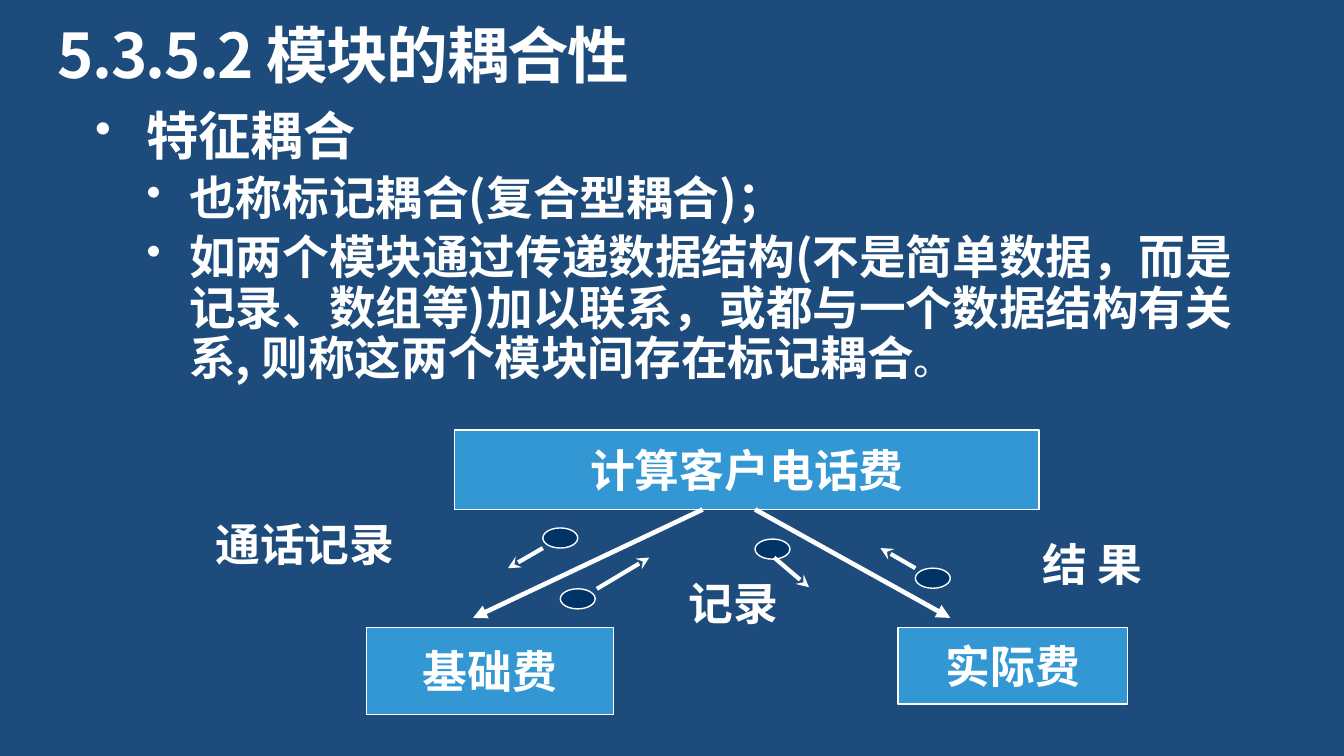
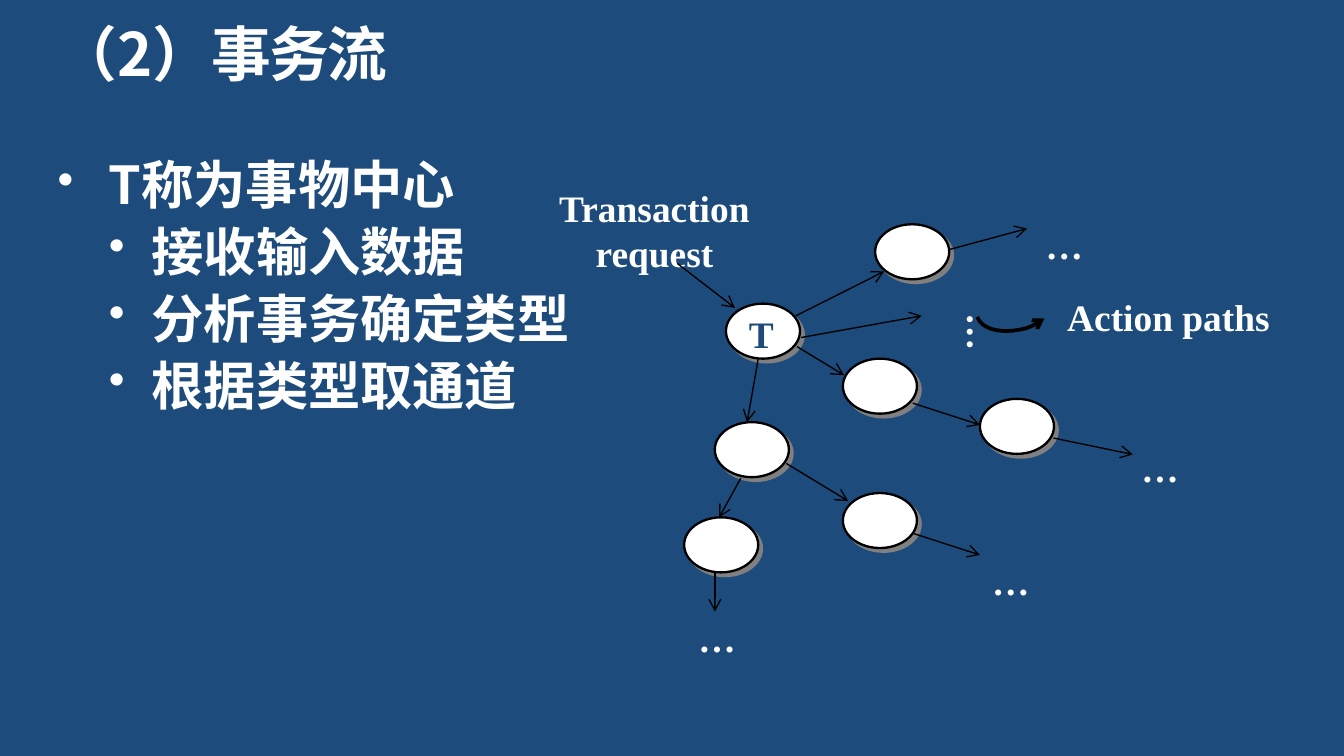
import lxml.etree
import pptx
import pptx.dml.color
import pptx.enum.dml
import pptx.enum.shapes
import pptx.enum.text
import pptx.oxml.ns
import pptx.util

Cm = pptx.util.Cm
Pt = pptx.util.Pt
ALIGN = pptx.enum.text.PP_ALIGN
SHAPE = pptx.enum.shapes.MSO_SHAPE

BACKGROUND, WHITE, BLACK = "1D4C7C", "FFFFFF", "000000"
MODULE_BLUE, DATA_NAVY, SHADOW_GRAY = "3397D3", "003366", "808080"
HEADING_FONT, LABEL_FONT, DIAGRAM_FONT = "Noto Sans CJK SC", "Roboto", "Times New Roman"
DEFAULT_INSETS = (0.25, 0.13, 0.25, 0.13)
NO_INSETS = (0, 0, 0, 0)
TIGHT_INSETS = (0.05, 0.03, 0.05, 0.03)


def color(value):
    return pptx.dml.color.RGBColor.from_string(value)


def add_xml(parent, tag, **attributes):
    child = lxml.etree.SubElement(parent, pptx.oxml.ns.qn(tag))
    for name, value in attributes.items():
        child.set(name, str(value))
    return child


class SlideWriter:
    """Holds the deck style and draws elements on the current slide."""

    def __init__(self):
        self.deck = pptx.Presentation()
        self.deck.slide_width = Cm(25.4)
        self.deck.slide_height = Cm(14.29)
        self.page = None

    def start_page(self, title, size, height):
        self.page = self.deck.slides.add_slide(self.deck.slide_layouts[6])
        fill = self.page.background.fill
        fill.solid()
        fill.fore_color.rgb = color(BACKGROUND)
        box = self.text((1.09, 0.48, 23.24, height), title, size, HEADING_FONT,
                        align=ALIGN.LEFT, insets=NO_INSETS, spacing=0.9)
        box.text_frame.auto_size = pptx.enum.text.MSO_AUTO_SIZE.SHAPE_TO_FIT_TEXT
        for span in box.text_frame.paragraphs[0].runs:
            span.font._element.set("spc", "-80")

    def style_span(self, span, size, font, ink=WHITE, bold=True):
        span.font.size = Pt(size)
        span.font.name = font
        span.font.bold = bold
        span.font.color.rgb = color(ink)
        east_asian = HEADING_FONT if font == LABEL_FONT else font
        add_xml(span.font._element, "a:ea", typeface=east_asian)

    def fill_frame(self, frame, words, size, font, ink=WHITE, align=ALIGN.CENTER, spacing=None):
        frame.text = words
        for para in frame.paragraphs:
            para.alignment = align
            if spacing:
                para.line_spacing = spacing
            for span in para.runs:
                self.style_span(span, size, font, ink)

    def set_insets(self, frame, insets):
        (frame.margin_left, frame.margin_top,
         frame.margin_right, frame.margin_bottom) = map(Cm, insets)

    def text(self, area, words, size, font, ink=WHITE, align=ALIGN.CENTER,
             insets=DEFAULT_INSETS, spacing=None, wrap=True):
        box = self.page.shapes.add_textbox(*map(Cm, area))
        frame = box.text_frame
        frame.word_wrap = wrap
        self.set_insets(frame, insets)
        self.fill_frame(frame, words, size, font, ink, align, spacing)
        return box

    def label(self, area, words):
        box = self.text(area, words, 24, LABEL_FONT, wrap=False)
        box.text_frame.vertical_anchor = pptx.enum.text.MSO_ANCHOR.MIDDLE

    def bullets(self, area, items):
        box = self.page.shapes.add_textbox(*map(Cm, area))
        frame = box.text_frame
        frame.word_wrap = True
        frame.auto_size = pptx.enum.text.MSO_AUTO_SIZE.SHAPE_TO_FIT_TEXT
        self.set_insets(frame, NO_INSETS)
        frame.text = "\n".join(words for words, *_ in items)
        for para, (_, level, size, spacing) in zip(frame.paragraphs, items):
            left, hanging = ((0.97, 0.97), (1.78, 0.81))[level]
            para.level = level
            properties = para._p.get_or_add_pPr()
            properties.set("marL", str(Cm(left)))
            properties.set("indent", str(-Cm(hanging)))
            add_xml(properties, "a:buSzPct", val=90000)
            add_xml(properties, "a:buChar", char="•")
            para.line_spacing = spacing
            if para is not frame.paragraphs[0] and level:
                para.space_before = Pt(size * 0.2)
            for span in para.runs:
                self.style_span(span, size, HEADING_FONT)
        return box

    def shape(self, kind, area, fill, line, width, shadow=False):
        shape = self.page.shapes.add_shape(kind, *map(Cm, area))
        shape.fill.solid()
        shape.fill.fore_color.rgb = color(fill)
        shape.line.color.rgb = color(line)
        shape.line.width = Pt(width)
        shape.shadow.inherit = False
        if shadow:
            effects = shape._element.spPr.find(pptx.oxml.ns.qn("a:effectLst"))
            outer = add_xml(effects, "a:outerShdw", dist=Pt(2.8), dir=45 * 60000,
                            algn="ctr", rotWithShape=0)
            add_xml(outer, "a:srgbClr", val=SHADOW_GRAY)
        return shape

    def module(self, area, words):
        shape = self.shape(SHAPE.RECTANGLE, area, MODULE_BLUE, WHITE, 0.75)
        frame = shape.text_frame
        frame.word_wrap = False
        frame.vertical_anchor = pptx.enum.text.MSO_ANCHOR.MIDDLE
        self.fill_frame(frame, words, 24, LABEL_FONT)

    def arrow(self, start, end, line, width, head):
        connector = self.page.shapes.add_connector(
            pptx.enum.shapes.MSO_CONNECTOR.STRAIGHT, *map(Cm, start + end))
        self.style_arrow(connector, line, width, head)
        add_xml(connector._element.spPr, "a:effectLst")

    def style_arrow(self, stroke, line, width, head):
        stroke.line.color.rgb = color(line)
        stroke.line.width = Pt(width)
        add_xml(stroke.line._get_or_add_ln(), "a:tailEnd", type=head)

    def curved_arrow(self, start, segments, line, width, head, steps=10):
        points = [start]
        for first, second, end in segments:
            corners = (points[-1], first, second, end)
            for step in range(1, steps + 1):
                t = step / steps
                weights = ((1 - t) ** 3, 3 * t * (1 - t) ** 2, 3 * t * t * (1 - t), t ** 3)
                points.append(tuple(sum(w * corner[axis] for w, corner in zip(weights, corners))
                                    for axis in (0, 1)))
        points = [(Cm(x), Cm(y)) for x, y in points]
        builder = self.page.shapes.build_freeform(*points[0])
        builder.add_line_segments(points[1:], close=False)
        curve = builder.convert_to_shape()
        curve.fill.background()
        self.style_arrow(curve, line, width, head)
        curve.shadow.inherit = False

    def ellipsis(self, area, spacing, gap, vertical=False):
        insets = (0.05, 0.03 + gap, 0.05, 0.03) if vertical else (0.05 + gap, 0.03, 0, 0.03)
        box = self.text(area, "…", 20, DIAGRAM_FONT, align=ALIGN.JUSTIFY,
                        insets=insets, spacing=spacing)
        if vertical:
            box.text_frame._txBody.bodyPr.set("vert", "eaVert")


def build_coupling(writer):
    writer.start_page("5.3.5.2 模块的耦合性", 33, 1.27)
    box = writer.bullets((1.8, 2.18, 22.02, 5.56), [
        ("特征耦合", 0, 28, 0.8),
        ("也称标记耦合(复合型耦合)；", 1, 25, 0.9),
        ("如两个模块通过传递数据结构(不是简单数据，而是记录、数组等)加以联系，"
         "或都与一个数据结构有关系, 则称这两个模块间存在标记耦合", 1, 25, 0.9),
    ])
    stop = box.text_frame.paragraphs[-1].add_run()
    stop.text = "。"
    writer.style_span(stop, 21, LABEL_FONT, bold=False)

    for area, words in [((8.59, 8.13, 11.05, 1.5), "计算客户电话费"),
                        ((6.93, 11.86, 4.67, 1.65), "基础费"),
                        ((16.97, 11.86, 4.34, 1.45), "实际费")]:
        writer.module(area, words)
    for start, end in [((13.28, 9.63), (8.94, 11.68)), ((14.27, 9.63), (17.96, 11.68))]:
        writer.arrow(start, end, WHITE, 2.5, "triangle")
    for left, top in [(10.26, 9.98), (10.59, 11.13), (14.27, 10.19), (17.3, 10.74)]:
        writer.shape(SHAPE.OVAL, (left, top, 0.66, 0.38), DATA_NAVY, WHITE, 0.75)
    for start, end in [((10.26, 10.36), (9.6, 10.74)), ((11.28, 11.13), (12.27, 10.54)),
                       ((14.63, 10.54), (15.29, 11.1)), ((17.3, 10.74), (16.64, 10.36))]:
        writer.arrow(start, end, WHITE, 2.25, "stealth")
    for area, words in [((2.59, 9.8, 6.35, 0.94), "通话记录"),
                        ((11.85, 10.74, 4.01, 1.3), "记录"),
                        ((18.31, 10.19, 4.67, 0.94), "结 果")]:
        writer.label(area, words)


def build_transaction_flow(writer):
    writer.start_page("（2）事务流", 32, 1.22)
    writer.bullets((1.09, 3.02, 23.24, 5.03), [
        ("T称为事物中心", 0, 28, 0.9),
        ("接收输入数据", 1, 28, 0.9),
        ("分析事务确定类型", 1, 28, 0.9),
        ("根据类型取通道", 1, 28, 0.9),
    ])
    for left, top in [(13.72, 5.74), (16.54, 4.24), (15.93, 6.78), (18.52, 7.54),
                      (13.51, 7.98), (15.93, 9.32), (12.93, 9.78)]:
        writer.shape(SHAPE.OVAL, (left, top, 1.4, 1.04), WHITE, BLACK, 1.25, shadow=True)
    writer.text((13.44, 5.66, 1.9, 1.24), "T", 20, DIAGRAM_FONT, BACKGROUND, spacing=1.1)
    writer.text((10.26, 3.48, 4.22, 1.63), "Transaction\nrequest", 20, DIAGRAM_FONT,
                insets=TIGHT_INSETS)
    writer.text((20.12, 5.54, 4.22, 1.24), "Action paths", 20, DIAGRAM_FONT,
                align=ALIGN.JUSTIFY, insets=TIGHT_INSETS)
    for start, end in [((12.8, 4.98), (13.89, 5.82)), ((15.04, 5.97), (16.71, 5.13)),
                       ((17.93, 4.72), (19.41, 4.32)), ((15.14, 6.38), (17.42, 5.97)),
                       ((15.06, 6.55), (15.95, 7.09)), ((17.25, 7.62), (18.52, 8.03)),
                       ((19.91, 8.28), (21.41, 8.59)), ((14.33, 6.78), (14.12, 7.98)),
                       ((14, 9.04), (13.59, 9.78)), ((14.86, 8.76), (16.03, 9.47)),
                       ((17.25, 10.08), (18.52, 10.49)), ((13.51, 10.82), (13.51, 11.56))]:
        writer.arrow(start, end, BLACK, 0.75, "arrow")
    writer.curved_arrow((18.47, 5.99), [
        ((18.57, 6.25), (18.97, 6.32), (19.41, 6.2)),
        ((19.53, 6.15), (19.66, 6.1), (19.74, 6.02)),
    ], BLACK, 2, "arrow")
    for left, top, spacing, gap in [(12.8, 10.92, 1.8, 0.35), (19.53, 3.33, 2, 0.18),
                                    (21.34, 7.7, 1.8, 0.18), (18.52, 9.68, 2, 0.18)]:
        writer.ellipsis((left, top, 2.54, 1.65), spacing, gap)
    writer.ellipsis((17.53, 5.54, 1.68, 1.24), 1.2, 0.35, vertical=True)


def main():
    writer = SlideWriter()
    build_coupling(writer)
    build_transaction_flow(writer)
    writer.deck.save("out.pptx")


if __name__ == "__main__":
    main()
